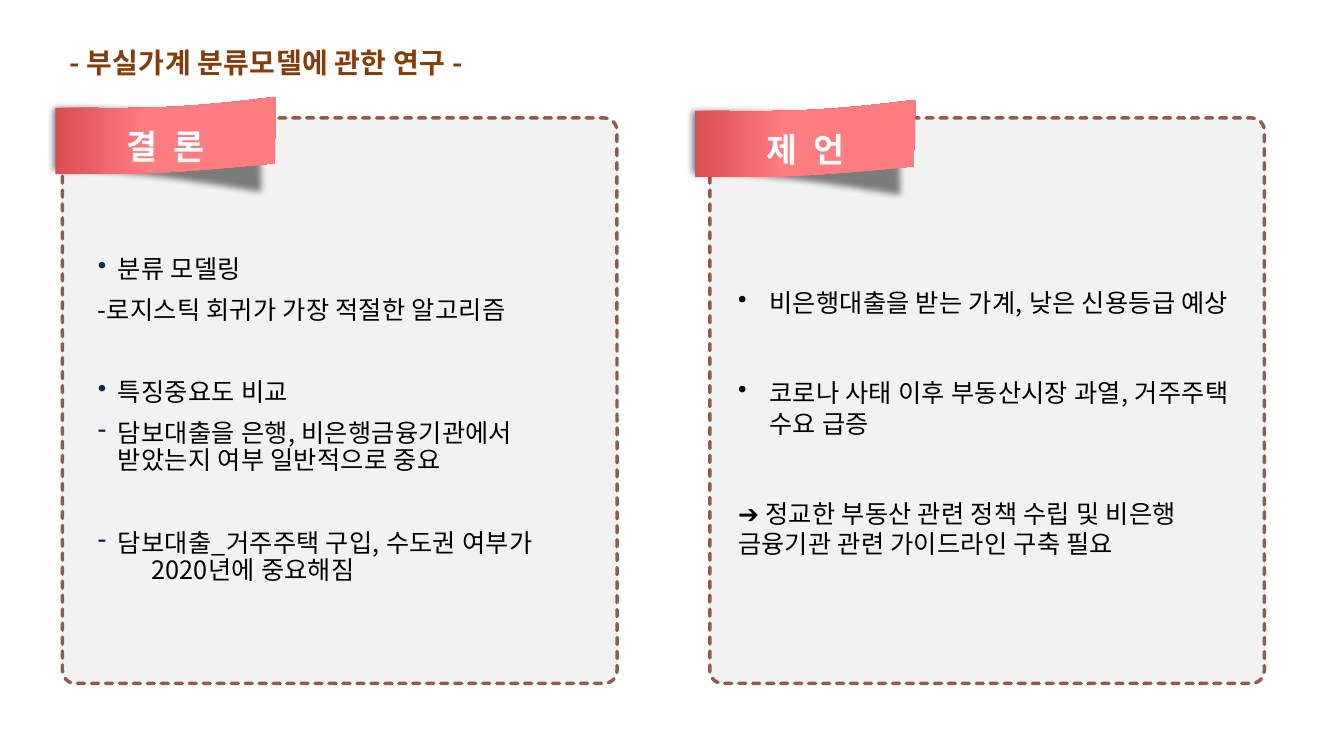
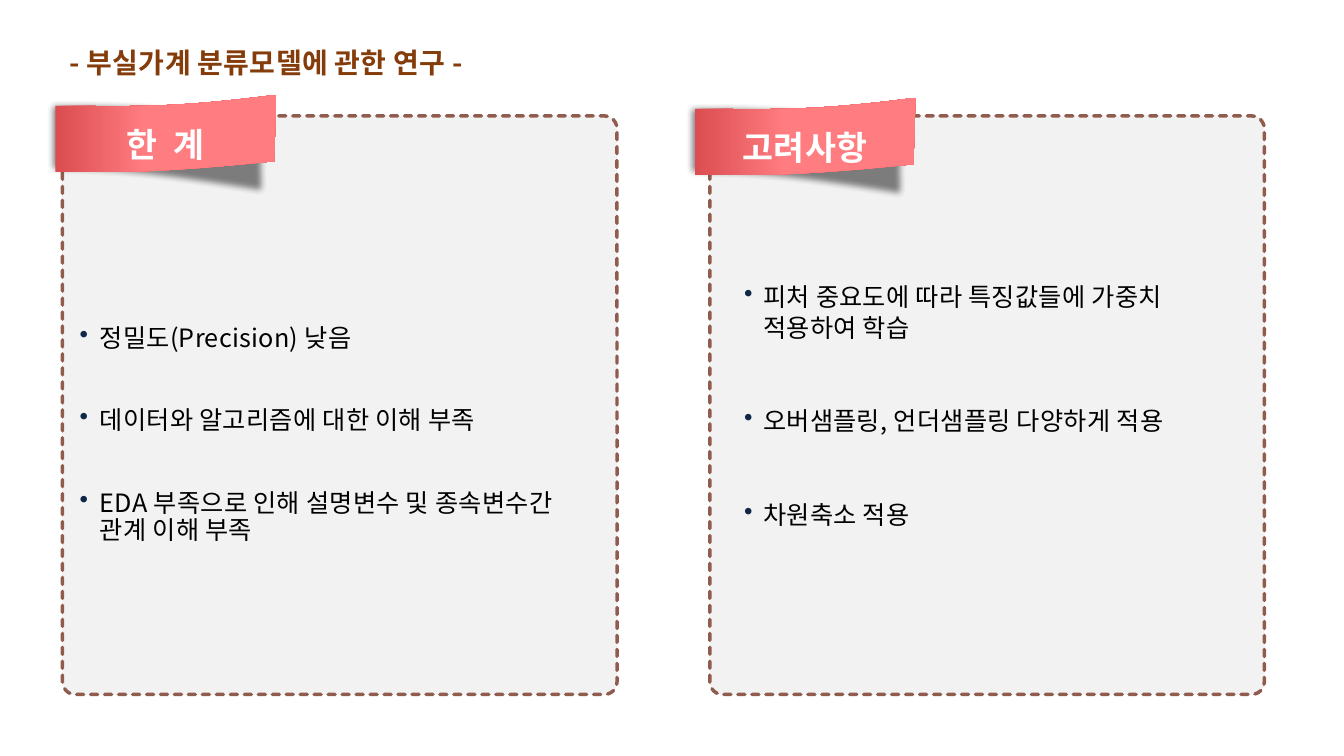
from pptx import Presentation
from pptx.dml.color import RGBColor as RGB
from pptx.enum.dml import MSO_LINE as Dash
from pptx.enum.shapes import MSO_SHAPE as Shape
from pptx.enum.text import MSO_ANCHOR as Anchor, MSO_AUTO_SIZE as Auto, PP_ALIGN as Align
from pptx.oxml.ns import qn
from pptx.util import Inches, Pt
from lxml.etree import SubElement

FONT = "Noto Sans CJK KR"
BLACK, WHITE = RGB(0, 0, 0), RGB(255, 255, 255)
BROWN, DASH, GRAY = RGB(0x84, 0x3C, 0x0B), RGB(0x90, 0x5C, 0x4E), RGB(0xF2, 0xF2, 0xF2)
PINK, RED, NAVY = RGB(0xFF, 0x7C, 0x80), RGB(0xDB, 0x4D, 0x50), RGB(0x10, 0x27, 0x47)

# Content: each line is (text, bullet, left margin, space before)
TITLE = "- 부실가계 분류모델에 관한 연구 -"
TIGHT, LOOSE = 19.4, 21.8          # line pitch in points
STEP, SKIP = 10, 20 + TIGHT        # gap between lines, gap over an empty row
WIDE, FAR = 42.5, 45
SLIDES = [
    dict(top=1.17, high=5.61, parts=[
        dict(name="결  론", box=(0.97, 2.54, 4.9, 3.71), pitch=TIGHT, dot=NAVY, lines=[
            ("분류 모델링", "•", 0.2, 0),
            ("-로지스틱 회귀가 가장 적절한 알고리즘", None, 0, STEP),
            ("특징중요도 비교", "•", 0.2, SKIP),
            ("담보대출을 은행, 비은행금융기관에서 받았는지 여부 일반적으로 중요", "-", 0.2, STEP),
            ("담보대출_거주주택 구입, 수도권 여부가", "-", 0.2, SKIP),
            ("2020년에 중요해짐", None, 0.53, 0)]),
        dict(name="제  언", box=(7.32, 2.85, 5.12, 3.03), pitch=LOOSE, dot=BLACK, lines=[
            ("비은행대출을 받는 가계, 낮은 신용등급 예상", "•", 0.31, 0),
            ("코로나 사태 이후 부동산시장 과열, 거주주택 수요 급증", "•", 0.31, WIDE),
            ("➔ 정교한 부동산 관련 정책 수립 및 비은행 금융기관 관련 가이드라인 구축 필요",
             None, 0, WIDE)])]),
    dict(top=1.15, high=5.74, parts=[
        dict(name="한  계", box=(0.79, 3.23, 4.9, 3.5), pitch=TIGHT, dot=NAVY, lines=[
            ("정밀도(Precision) 낮음", "•", 0.2, 0),
            ("데이터와 알고리즘에 대한 이해 부족", "•", 0.2, SKIP),
            ("EDA 부족으로 인해 설명변수 및 종속변수간 관계 이해 부족", "•", 0.2, SKIP)]),
        dict(name="고려사항", box=(7.38, 2.79, 4.9, 2.49), pitch=LOOSE, dot=NAVY, lines=[
            ("피처 중요도에 따라 특징값들에 가중치 적용하여 학습", "•", 0.19, 0),
            ("오버샘플링, 언더샘플링 다양하게 적용", "•", 0.19, FAR),
            ("차원축소 적용", "•", 0.19, FAR)])]),
]

# Panel left edge, with the ribbon's offset from the panel corner
COLS = [(0.62, -0.07, -0.21), (7.04, -0.15, -0.18)]
PANEL = 5.5
# Ribbon outlines: two cubic curves each, joined by straight sides
FRONT = [[(2.19, 0), (1.11, 0.14), (0.73, 0.11), (0, 0.11)],
         [(0, 0.77), (0.73, 0.77), (1.08, 0.77), (2.17, 0.66)]]
SHADE = [[(2.19, 0.98), (1.12, 0.81), (0.73, 0.75), (0, 0.75)],
         [(0, 0), (0.73, 0), (1.08, 0), (2.18, 0.14)]]


def put(para, text, size, color, bold=False):
    run = para.add_run()
    run.text = text
    look = dict(name=FONT, size=Pt(size), bold=bold)
    for key, val in look.items():
        setattr(run.font, key, val)
    run.font.color.rgb = color
    props = run.font._element
    props.set("spc", "20")
    SubElement(props, qn("a:ea"), typeface=FONT)


def frame(shape, anchor, inset=(0, 0, 0, 0)):
    text = shape.text_frame
    look = dict(word_wrap=True, auto_size=Auto.NONE, vertical_anchor=anchor)
    sides = ("margin_left", "margin_top", "margin_right", "margin_bottom")
    look.update(zip(sides, map(Inches, inset)))
    for key, val in look.items():
        setattr(text, key, val)
    return text


def outline(slide, curves, left, top):
    ends = [(Inches(left + x), Inches(top + y)) for c in curves for x, y in (c[0], c[-1])]
    pen = slide.shapes.build_freeform(*ends[0])
    pen.add_line_segments(ends[1:], close=True)
    shape = pen.convert_to_shape()
    # Bend the first and third sides into cubic curves
    sides = list(shape._element.iter(qn("a:lnTo")))
    for side, curve in zip(sides[::2], curves):
        side.tag = qn("a:cubicBezTo")
        for x, y in curve[1:3]:
            spot = SubElement(side, qn("a:pt"), x=str(Inches(x)), y=str(Inches(y)))
        side.append(side[0])
    shape.shadow.inherit = False
    shape.line.fill.background()
    return shape


def ribbon(slide, name, left, top):
    # Soft translucent shade behind
    back = outline(slide, SHADE, left - 0.09, top + 0.05)
    back.fill.solid()
    back.fill.fore_color.rgb = BLACK
    tint = back._element.spPr.find(".//" + qn("a:srgbClr"))
    SubElement(tint, qn("a:alpha"), val="49000")
    effect = back._element.spPr.find(qn("a:effectLst"))
    SubElement(effect, qn("a:softEdge"), rad=str(Pt(5)))
    # Ribbon with its label
    face = outline(slide, FRONT, left, top)
    face.fill.gradient()
    face.fill.gradient_angle = 0
    for stop, color, place in zip(face.fill.gradient_stops, (RED, PINK), (0, 0.41)):
        stop.color.rgb, stop.position = color, place
    para = frame(face, Anchor.MIDDLE).paragraphs[0]
    para.alignment, para.line_spacing = Align.CENTER, Pt(44)
    put(para, name, 24, WHITE, True)


def panel(slide, left, top, high):
    card = slide.shapes.add_shape(Shape.ROUNDED_RECTANGLE,
                                  *map(Inches, (left, top, PANEL, high)))
    card.adjustments[0] = 0.023
    card.shadow.inherit = False
    card.fill.solid()
    card.fill.fore_color.rgb = GRAY
    card.line.color.rgb = DASH
    card.line.width, card.line.dash_style = Pt(2.5), Dash.SQUARE_DOT
    card._element.spPr.find(qn("a:ln")).set("cap", "rnd")


def body(slide, box, pitch, dot, lines):
    text = frame(slide.shapes.add_textbox(*map(Inches, box)), Anchor.TOP)
    for i, (words, mark, margin, gap) in enumerate(lines):
        para = text.add_paragraph() if i else text.paragraphs[0]
        para.line_spacing, para.space_before = Pt(pitch), Pt(gap)
        props = para._p.get_or_add_pPr()
        props.set("marL", str(Inches(margin)))
        props.set("indent", str(Inches(-margin if mark else 0)))
        if mark:
            tone = SubElement(props, qn("a:buClr"))
            SubElement(tone, qn("a:srgbClr"), val=str(dot))
            SubElement(props, qn("a:buChar"), char=mark)
        put(para, words, 18, BLACK)


def heading(slide):
    title = slide.shapes.title
    spot = dict(left=0.53, top=0.4, width=6.7, height=0.44)
    for key, val in spot.items():
        setattr(title, key, Inches(val))
    para = frame(title, Anchor.TOP, (0.16, 0.05, 0.1, 0.05)).paragraphs[0]
    para.alignment, para.line_spacing = Align.LEFT, Pt(24)
    put(para, TITLE, 20, BROWN, True)


# Build the slides
deck = Presentation()
deck.slide_width, deck.slide_height = Inches(13.33), Inches(7.5)
for page in SLIDES:
    slide = deck.slides.add_slide(deck.slide_layouts[5])
    heading(slide)
    for (left, dx, dy), part in zip(COLS, page["parts"]):
        panel(slide, left, page["top"], page["high"])
        body(slide, part["box"], part["pitch"], part["dot"], part["lines"])
        ribbon(slide, part["name"], left + dx, page["top"] + dy)
deck.save("out.pptx")
